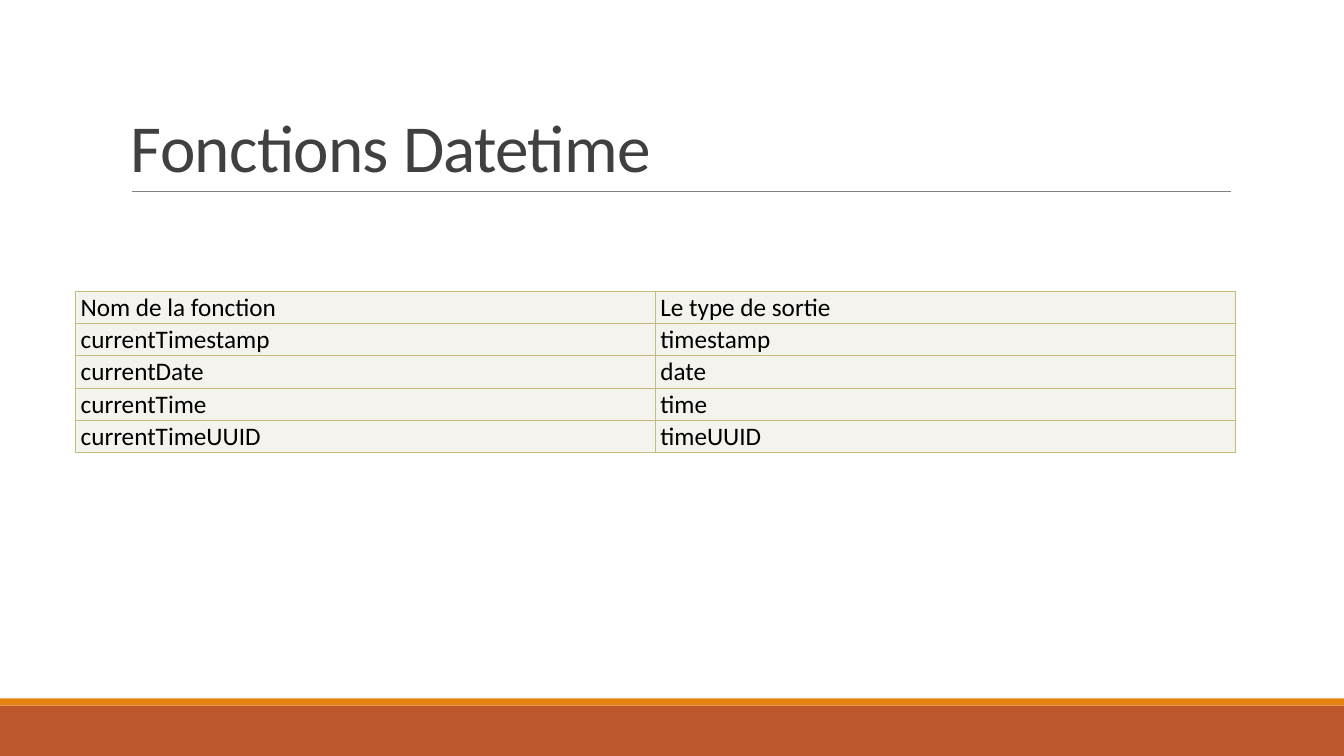
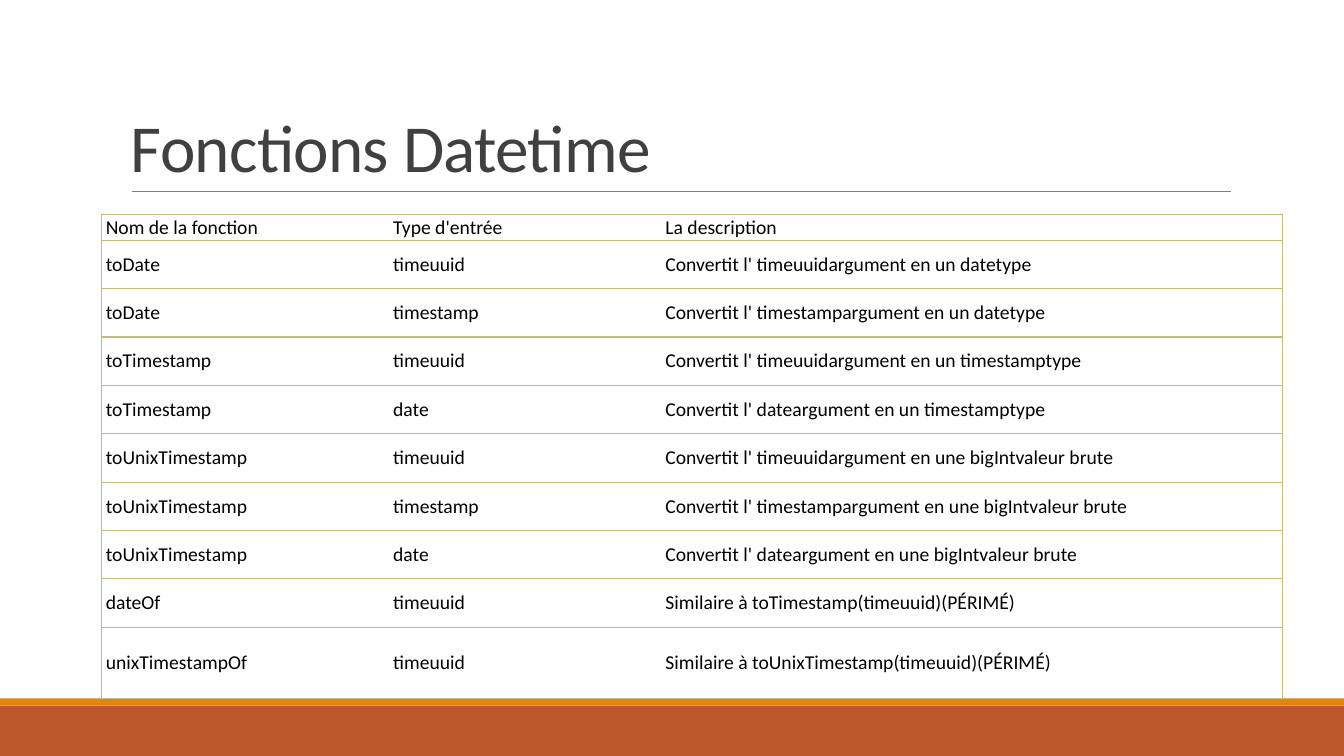
from lxml.etree import SubElement
from pptx import Presentation
from pptx.dml.color import RGBColor as RGB
from pptx.enum.shapes import MSO_CONNECTOR as CONNECTOR, MSO_SHAPE as SHAPE
from pptx.enum.text import MSO_ANCHOR as ANCHOR
from pptx.oxml import parse_xml
from pptx.oxml.ns import nsdecls, qn
from pptx.util import Emu, Pt

PX = 9144  # 100 px to the inch
WIDTH, HEIGHT = 1333, 750
TITLE = "Fonctions Datetime"

COLORS = {
    "band": "BD582C",
    "stripe": "E48312",
    "rule": "808080",
    "title": "404040",
    "text": "000000",
    "border": "C2BC80",
    "cream": "F4F3ED",
    "white": "FFFFFF",
}

OUTPUT_ROWS = [
    ("Nom de la fonction", "Le type de sortie"),
    ("currentTimestamp", "timestamp"),
    ("currentDate", "date"),
    ("currentTime", "time"),
    ("currentTimeUUID", "timeUUID"),
]

CONVERSION_ROWS = [
    ("Nom de la fonction", "Type d'entrée", "La description"),
    ("toDate", "timeuuid", "Convertit l' timeuuidargument en un datetype"),
    ("toDate", "timestamp", "Convertit l' timestampargument en un datetype"),
    ("toTimestamp", "timeuuid", "Convertit l' timeuuidargument en un timestamptype"),
    ("toTimestamp", "date", "Convertit l' dateargument en un timestamptype"),
    ("toUnixTimestamp", "timeuuid", "Convertit l' timeuuidargument en une bigIntvaleur brute"),
    ("toUnixTimestamp", "timestamp", "Convertit l' timestampargument en une bigIntvaleur brute"),
    ("toUnixTimestamp", "date", "Convertit l' dateargument en une bigIntvaleur brute"),
    ("dateOf", "timeuuid", "Similaire à toTimestamp(timeuuid)(PÉRIMÉ)"),
    ("unixTimestampOf", "timeuuid", "Similaire à toUnixTimestamp(timeuuid)(PÉRIMÉ)"),
]


def px(*lengths):
    return [Emu(n * PX) for n in lengths]


def rgb(name):
    return RGB.from_string(COLORS[name])


class Deck:
    font = "Calibri"

    def __init__(self):
        self.prs = Presentation()
        self.prs.slide_width, self.prs.slide_height = px(WIDTH, HEIGHT)
        self.s = None

    def slide(self, title):
        """Start a slide with the shared bands, title and rule."""
        self.s = self.prs.slides.add_slide(self.prs.slide_layouts[6])
        self.band(700, 50, "band")
        self.band(693, 7, "stripe")
        self.rule(131, 190, 1221)
        self.title(title)

    def band(self, top, height, color):
        sp = self.s.shapes.add_shape(SHAPE.RECTANGLE, *px(0, top, WIDTH, height))
        sp.shadow.inherit = False
        sp.fill.solid()
        sp.fill.fore_color.rgb = rgb(color)
        sp.line.fill.background()

    def rule(self, left, y, right):
        line = self.s.shapes.add_connector(CONNECTOR.STRAIGHT, *px(left, y, right, y))
        line.line.color.rgb = rgb("rule")
        line.line.width = Pt(0.5)
        SubElement(line._element.spPr, qn("a:effectLst"))

    def title(self, text):
        tf = self.s.shapes.add_textbox(*px(120, 31, 1100, 159)).text_frame
        tf.word_wrap = True
        tf.vertical_anchor = ANCHOR.BOTTOM
        p = tf.paragraphs[0]
        p.line_spacing = 0.85
        r = self.run(p, text, 48, "title")
        r._r.get_or_add_rPr().set("spc", "-50")

    def run(self, p, text, size, color):
        r = p.add_run()
        r.text = text
        for name, value in {"name": self.font, "size": Pt(size)}.items():
            setattr(r.font, name, value)
        r.font.color.rgb = rgb(color)
        return r

    def table(self, left, top, cols, heights, rows, size, fill, margins, inner=True):
        """Draw a table; inner adds the vertical lines between columns."""
        frame = self.s.shapes.add_table(
            len(rows), len(cols), *px(left, top, sum(cols), sum(heights)))
        tbl = frame.table
        for flag in ("first_row", "horz_banding"):
            setattr(tbl, flag, False)
        for col, width in zip(tbl.columns, px(*cols)):
            col.width = width
        for row, height in zip(tbl.rows, px(*heights)):
            row.height = height
        last = len(cols) - 1
        for i, texts in enumerate(rows):
            for j, text in enumerate(texts):
                sides = "TB" + "L" * (inner or j == 0) + "R" * (inner or j == last)
                self.cell(tbl.cell(i, j), text, size, fill, margins, sides)

    def cell(self, cell, text, size, fill, margins, sides):
        left, right = margins
        edges = {"left": left, "right": right, "top": 1, "bottom": 1}
        for edge, n in edges.items():
            setattr(cell, f"margin_{edge}", Emu(n * PX))
        cell.vertical_anchor = ANCHOR.MIDDLE
        cell.fill.solid()
        cell.fill.fore_color.rgb = rgb(fill)
        self.run(cell.text_frame.paragraphs[0], text, size, "text")
        self.borders(cell, sides)

    def borders(self, cell, sides):
        tcPr = cell._tc.get_or_add_tcPr()
        solid = f'<a:solidFill><a:srgbClr val="{COLORS["border"]}"/></a:solidFill>'
        for i, side in enumerate("LRTB"):
            paint = solid if side in sides else "<a:noFill/>"
            tcPr.insert(i, parse_xml(
                f'<a:ln{side} {nsdecls("a")} w="{Pt(1)}">{paint}</a:ln{side}>'))


def main():
    deck = Deck()
    deck.slide(TITLE)
    deck.table(75, 289, [575] * 2, [32] * 5, OUTPUT_ROWS, 18, "cream", (5, 8))
    deck.slide(TITLE)
    deck.table(101, 213, [285, 270, 616], [25] + [48] * 8 + [71],
               CONVERSION_ROWS, 14, "white", (4, 6), inner=False)
    deck.prs.save("out.pptx")


if __name__ == "__main__":
    main()
